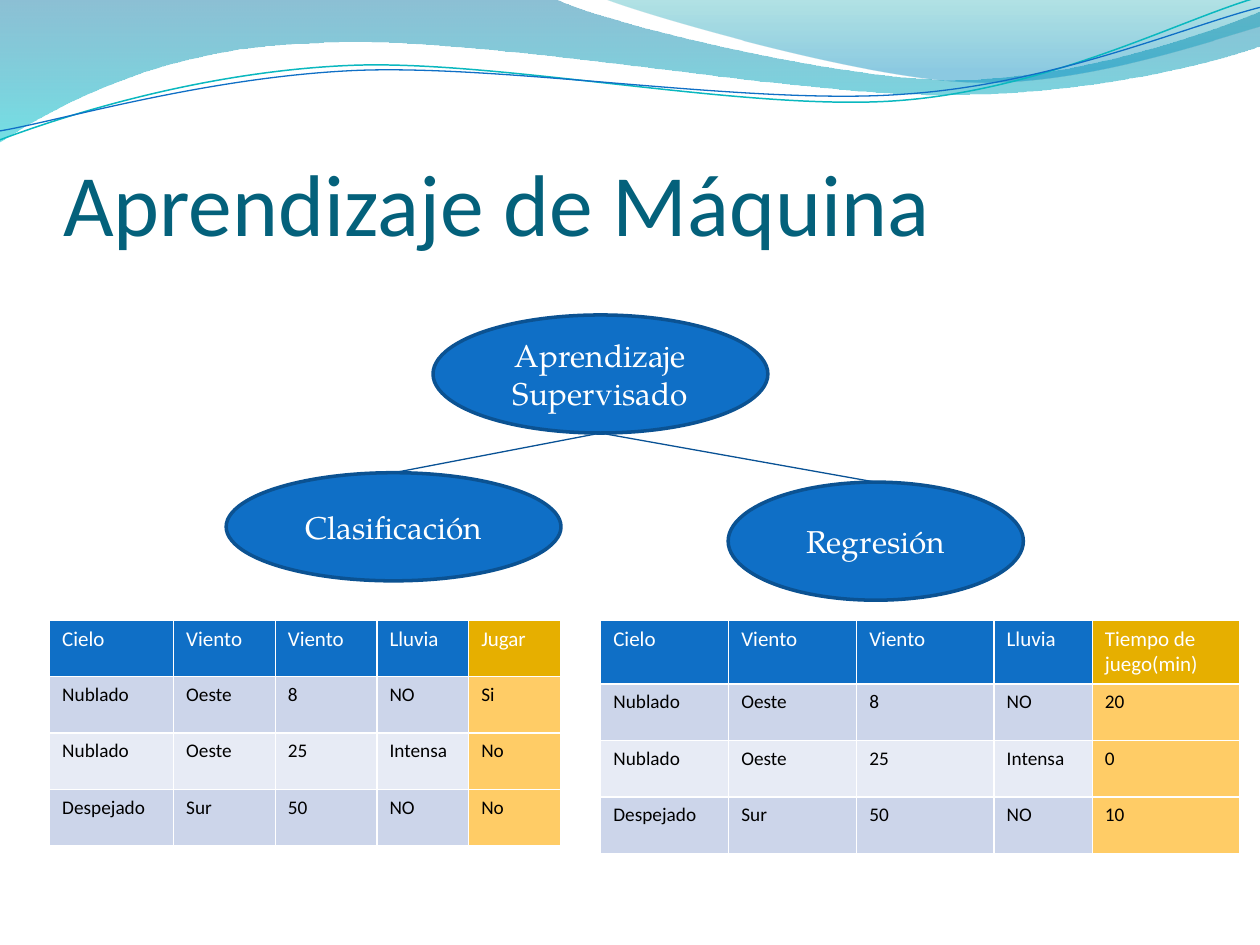
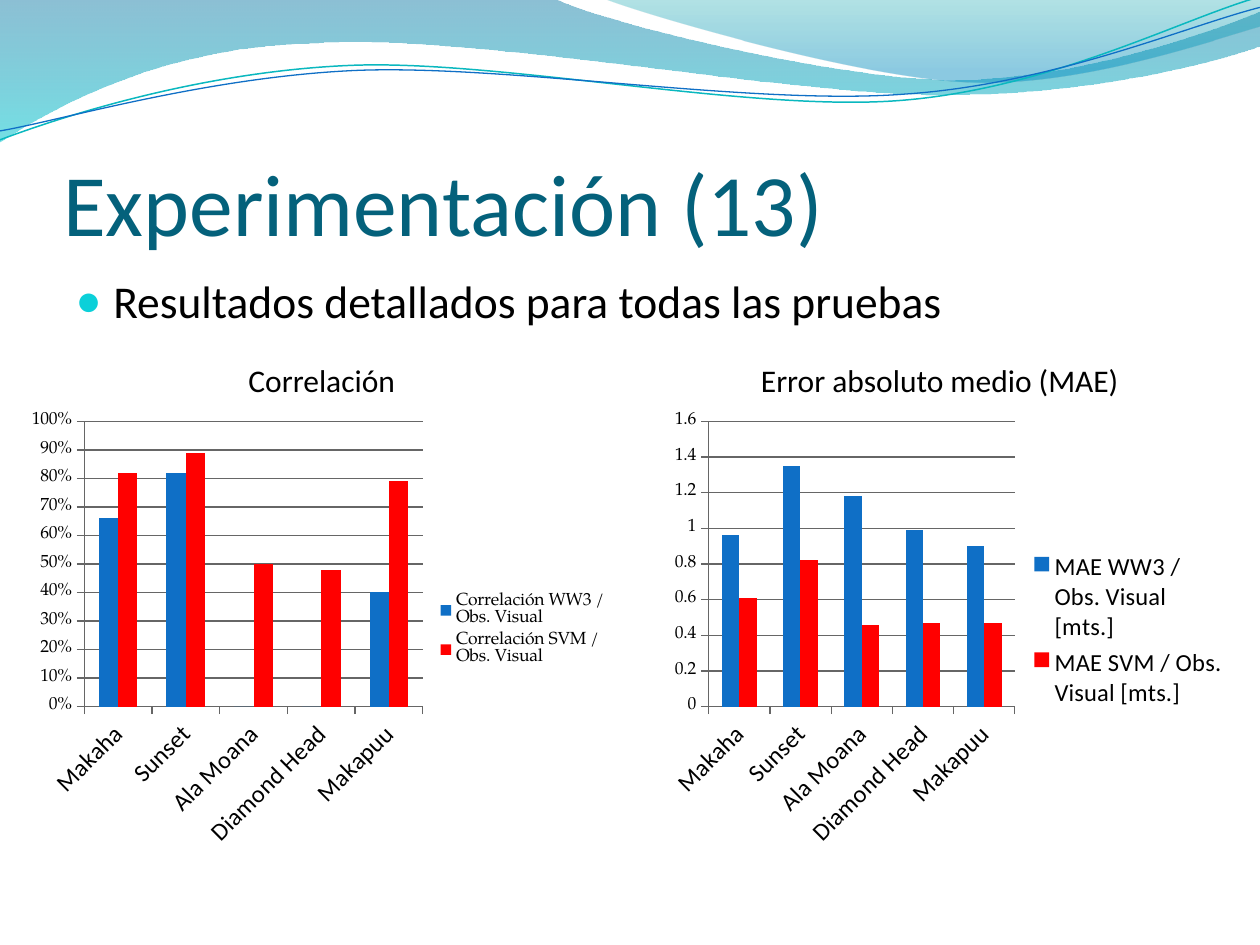
"""Build two slides on machine learning: a tree with tables, and result charts."""
from lxml import etree
from pptx import Presentation
from pptx import util as u
from pptx.chart.data import CategoryChartData
from pptx.dml.color import RGBColor
from pptx.enum import chart as ch, shapes, text
from pptx.oxml.ns import qn

HUES = {
    "title": "04617B", "blue": "0F6FC6", "edge": "0B5292", "link": "095295",
    "bullet": "0BD0D9", "aqua": "0AB8BF", "gold": "E6AF00", "amber": "FFCC66",
    "band": "CCD5EA", "pale": "E7EBF5", "red": "FF0000", "grid": "666666",
    "black": "000000", "white": "FFFFFF", "sea": "0074A1", "cyan": "00C6CF",
    "teal": "00A1A9", "sky": "008BBF",
}
SANS, SERIF = "Calibri", "TeX Gyre Pagella"

BANDS = [
    ([[(0, 0)], [(11.18, -0.03)],
      [(12.09, 0.43), (16.87, 1.6), (19.25, 1.6)],
      [(21.67, 1.6), (24.33, 0.66), (25.4, 0.23)],
      [(25.43, 0.91)],
      [(24.97, 1.12), (22.1, 1.93), (18.95, 1.91)],
      [(15.8, 1.91), (9.7, 0.71), (6.53, 0.86)],
      [(3.28, 0.91), (1.17, 2.11), (-0.03, 2.87)],
      [(0, 0)]],
     [(0, "sea", 45), (1, "cyan", 55)]),
    ([[(12.17, -0.03)],
      [(12.93, 0.28), (17.32, 1.57), (19.53, 1.65)],
      [(21.74, 1.75), (24.41, 0.81), (25.4, 0.53)],
      [(25.4, 0)], [(12.17, -0.03)]],
     [(0, "teal", 30), (0.8, "sky", 45)]),
]
WAVES = [
    ([[(0, 2.82)],
      [(1.22, 2.36), (4.01, 1.45), (7.04, 1.32)],
      [(10.03, 1.19), (15.06, 2.26), (18.11, 2.03)],
      [(21.16, 1.8), (23.83, 0.38), (25.35, -0.05)]], "aqua", 0.85),
    ([[(0, 2.64)],
      [(1.19, 2.44), (4.17, 1.55), (7.19, 1.42)],
      [(10.24, 1.3), (15.16, 2.13), (18.21, 1.9)],
      [(21.23, 1.7), (23.9, 0.53), (25.4, 0.15)]], "blue", 0.75),
]


def hue(name):
    return RGBColor.from_string(HUES[name])


def style(font, size, color="black", face=SANS):
    font.size, font.name, font.bold = u.Pt(size), face, False
    font.color.rgb = hue(color)


def write(frame, words, size, color="black", face=SANS, align=None):
    para = frame.paragraphs[0]
    para.alignment = align
    run = para.add_run()
    run.text = words
    style(run.font, size, color, face)
    return para


def box(left, top, width, height):
    return [u.Cm(n) for n in (left, top, width, height)]


def trace(slide, steps, close):
    """Draw a freeform: a step of one point is a line, of three a curve."""
    dots = [(u.Cm(x), u.Cm(y)) for step in steps for x, y in step]
    pen = slide.shapes.build_freeform(*dots[0])
    pen.add_line_segments(dots[1:], close=close)
    shape = pen.convert_to_shape()
    shape.shadow.inherit = False
    legs = iter(list(shape.element.iter(qn("a:lnTo"))))
    for step in steps[1:]:
        group = [next(legs) for _ in step]
        if len(group) == 3:
            curve = etree.Element(qn("a:cubicBezTo"))
            group[0].addprevious(curve)
            for leg in group:
                curve.append(leg[0])
                leg.getparent().remove(leg)
    return shape


def shade(shape, stops):
    shape.line.fill.background()
    shape.fill.gradient()
    shape.fill.gradient_angle = 270
    for stop, (pos, color, _) in zip(shape.fill.gradient_stops, stops):
        stop.position = pos
        stop.color.rgb = hue(color)
    marks = shape.element.spPr.iter(qn("a:srgbClr"))
    for mark, (_, _, alpha) in zip(marks, stops):
        etree.SubElement(mark, qn("a:alpha"), val=str(alpha * 1000))


def crest(prs, slide):
    """Draw the wave header and move it to the slide master."""
    parts = []
    for steps, stops in BANDS:
        band = trace(slide, steps, True)
        shade(band, stops)
        parts.append(band)
    for steps, color, width in WAVES:
        wave = trace(slide, steps, False)
        wave.fill.background()
        wave.line.color.rgb = hue(color)
        wave.line.width = u.Pt(width)
        parts.append(wave)
    tree = prs.slide_master.shapes[0].element.getparent()
    for i, part in enumerate(parts):
        tree.insert(2 + i, part.element)


def place(holder, left, top, width, height):
    holder.left, holder.top, holder.width, holder.height = box(
        left, top, width, height)
    holder.text_frame.auto_size = text.MSO_AUTO_SIZE.NONE
    return holder.text_frame


def page(prs, layout, words):
    slide = prs.slides.add_slide(prs.slide_layouts[layout])
    frame = place(slide.shapes.title, 1.27, 1.95, 22.86, 3.17)
    frame.vertical_anchor = text.MSO_ANCHOR.BOTTOM
    frame.margin_left = frame.margin_right = frame.margin_bottom = 0
    write(frame, words, 50, "title", align=text.PP_ALIGN.LEFT)
    return slide


def point(slide, words):
    frame = place(slide.placeholders[1], 1.27, 5.38, 22.86, 1.37)
    prop = frame.paragraphs[0]._p.get_or_add_pPr()
    prop.set("marL", str(u.Cm(0.76)))
    prop.set("indent", str(-u.Cm(0.76)))
    tint = etree.SubElement(prop, qn("a:buClr"))
    etree.SubElement(tint, qn("a:srgbClr"), val=HUES["bullet"])
    etree.SubElement(prop, qn("a:buSzPct"), val="95000")
    etree.SubElement(prop, qn("a:buChar"), char="●")
    write(frame, words, 26).space_before = u.Pt(0)


def node(slide, words, *area):
    oval = slide.shapes.add_shape(shapes.MSO_SHAPE.OVAL, *box(*area))
    oval.shadow.inherit = False
    oval.fill.solid()
    oval.fill.fore_color.rgb = hue("blue")
    oval.line.color.rgb = hue("edge")
    oval.line.width = u.Pt(2)
    oval.text_frame.vertical_anchor = text.MSO_ANCHOR.MIDDLE
    write(oval.text_frame, words, 18, "white", SERIF, text.PP_ALIGN.CENTER)
    return oval


def link(slide, root, leaf):
    x, y = root.left + root.width // 2, root.top + root.height
    line = slide.shapes.add_connector(shapes.MSO_CONNECTOR.STRAIGHT, x, y, x, y)
    line.end_connect(leaf, 0)
    line.line.color.rgb = hue("link")
    line.line.width = u.Pt(0.75)
    etree.SubElement(line.element.spPr, qn("a:effectLst"))


def grid(slide, left, widths, goal, marks):
    """Add a weather table whose last column is the value to learn."""
    rows = [["Cielo", "Viento", "Viento", "Lluvia"],
            ["Nublado", "Oeste", "8", "NO"],
            ["Nublado", "Oeste", "25", "Intensa"],
            ["Despejado", "Sur", "50", "NO"]]
    high = 1.14
    table = slide.shapes.add_table(
        len(rows), len(widths),
        *box(left, 12.5, sum(widths), high * len(rows))).table
    for col, width in zip(table.columns, widths):
        col.width = u.Cm(width)
    for r, (row, last) in enumerate(zip(rows, [goal, *marks])):
        table.rows[r].height = u.Cm(high)
        fills = ("blue", "gold") if r == 0 else (
            "band" if r % 2 else "pale", "amber")
        for c, words in enumerate([*row, last]):
            cell = table.cell(r, c)
            cell.fill.solid()
            cell.fill.fore_color.rgb = hue(fills[c == len(row)])
            write(cell.text_frame, words, 11 if r else 12,
                  "black" if r else "white")


def label(slide, words, *area):
    frame = slide.shapes.add_textbox(*box(*area)).text_frame
    frame.word_wrap = False
    write(frame, words, 18)


def bars(slide, left, width, series, form, key):
    """Add a clustered column chart comparing both models on each beach."""
    data = CategoryChartData()
    data.categories = ["Makaha", "Sunset", "Ala Moana", "Diamond Head", "Makapuu"]
    for name, vals in series:
        data.add_series(name, vals)
    chart = slide.shapes.add_chart(
        ch.XL_CHART_TYPE.COLUMN_CLUSTERED, *box(left, 8.14, width, 9.12),
        data).chart
    style(chart.font, 10, face=SERIF)
    chart.has_title = False
    chart.has_legend = True
    chart.legend.position = ch.XL_LEGEND_POSITION.RIGHT
    chart.legend.include_in_layout = False
    style(chart.legend.font, *key)
    plot = chart.plots[0]
    plot.gap_width, plot.overlap, plot.vary_by_categories = 150, 0, False
    for ser, color in zip(plot.series, ("blue", "red")):
        ser.format.fill.solid()
        ser.format.fill.fore_color.rgb = hue(color)
    cat, val = chart.category_axis, chart.value_axis
    style(cat.tick_labels.font, 14)
    val.tick_labels.number_format = form
    val.tick_labels.number_format_is_linked = False
    for part in (cat, val, val.major_gridlines):
        part.format.line.color.rgb = hue("grid")
        part.format.line.width = u.Pt(0.75)


def main():
    prs = Presentation()
    prs.slide_width, prs.slide_height = u.Cm(25.4), u.Cm(19.05)

    tree = page(prs, 5, "Aprendizaje de Máquina")
    crest(prs, tree)
    root = node(tree, "Aprendizaje Supervisado", 8.73, 6.35, 6.75, 2.38)
    leaves = [node(tree, "Clasificación", 4.56, 9.53, 6.75, 2.18),
              node(tree, "Regresión", 14.68, 9.72, 5.95, 2.38)]
    for leaf in leaves:
        link(tree, root, leaf)
    grid(tree, 1, [2.5, 2.05, 2.05, 1.85, 1.85], "Jugar", ["Si", "No", "No"])
    grid(tree, 12.11, [2.58, 2.58, 2.77, 1.98, 2.97],
         "Tiempo de juego(min)", ["20", "0", "10"])

    tests = page(prs, 1, "Experimentación (13)")
    point(tests, "Resultados detallados para todas las pruebas")
    bars(tests, 0.4, 12.1,
         [("Correlación WW3 / Obs. Visual", [0.66, 0.82, 0, 0, 0.4]),
          ("Correlación SVM / Obs. Visual", [0.82, 0.89, 0.5, 0.48, 0.79])],
         "0%", (10, "black", SERIF))
    bars(tests, 13.29, 11.71,
         [("MAE WW3 / Obs. Visual [mts.]", [0.96, 1.35, 1.18, 0.99, 0.9]),
          ("MAE SVM / Obs. Visual [mts.]", [0.61, 0.82, 0.46, 0.47, 0.47])],
         "General", (14, "black", SANS))
    label(tests, "Correlación", 4.76, 7.15, 3.53, 1.02)
    label(tests, "Error absoluto medio (MAE)", 15.09, 7.15, 7.8, 1.02)

    prs.save("out.pptx")


if __name__ == "__main__":
    main()
